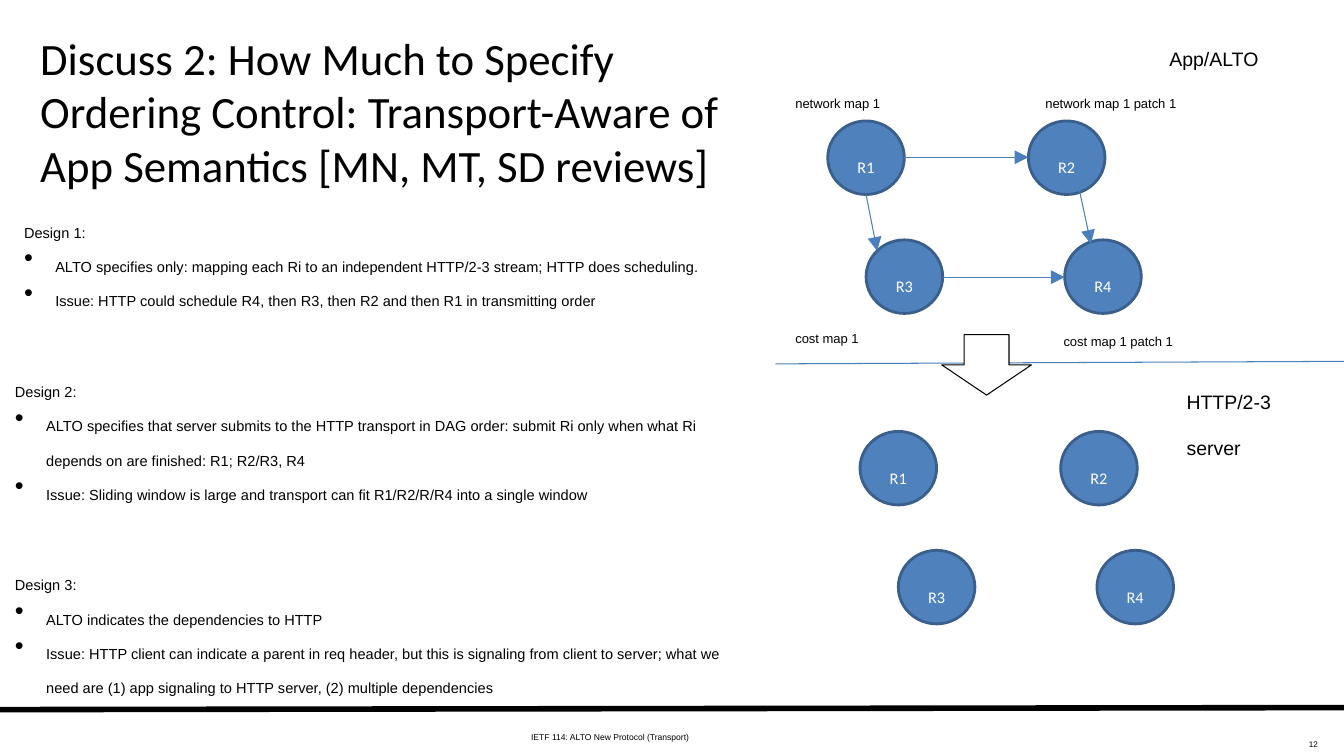
from lxml import etree
from pptx import Presentation
from pptx.dml.color import RGBColor
from pptx.enum.shapes import MSO_CONNECTOR, MSO_SHAPE
from pptx.enum.text import MSO_ANCHOR, MSO_AUTO_SIZE, PP_ALIGN
from pptx.oxml.ns import qn
from pptx.util import Inches, Pt

LEFT, CENTER, RIGHT = PP_ALIGN.LEFT, PP_ALIGN.CENTER, PP_ALIGN.RIGHT
TOP, MIDDLE = MSO_ANCHOR.TOP, MSO_ANCHOR.MIDDLE
GROW, FIXED = MSO_AUTO_SIZE.SHAPE_TO_FIT_TEXT, MSO_AUTO_SIZE.NONE
STRAIGHT = MSO_CONNECTOR.STRAIGHT
OVAL, DOWN_ARROW = MSO_SHAPE.OVAL, MSO_SHAPE.DOWN_ARROW

BLACK, WHITE = "000000", "FFFFFF"
NODE_FILL, NODE_LINE, EDGE = "4F81BD", "3A5F8C", "4B7EBC"
NODE_WIDTH, NODE_HEIGHT = 0.76, 0.73
HANGING = 0.31

NODES = {"R1": (0, 0), "R2": (1.99, 0), "R3": (0.38, 1.18), "R4": (2.35, 1.18)}
DEPENDENCIES = [
    ((0.76, 0.36), (1.99, 0.36)),
    ((0.38, 0.73), (0.49, 1.29)),
    ((1.14, 1.55), (2.35, 1.55)),
    ((2.49, 0.66), (2.61, 1.22)),
]
MAP_LABELS = [
    ("network map 1", -0.42, -0.45, 1.67),
    ("network map 1 patch 1", 2.06, -0.45, 2.47),
    ("cost map 1", -0.42, 1.88, 1.3),
    ("cost map 1 patch 1", 2.24, 1.91, 2.1),
]
DESIGNS = [
    ((0.14, 2, 7.26, 1.62), "Design 1:", [
        "ALTO specifies only: mapping each Ri to an independent HTTP/2-3 stream; "
        "HTTP does scheduling.",
        "Issue: HTTP could schedule R4, then R3, then R2 and then R1 in transmitting order",
    ]),
    ((0.05, 3.58, 7.44, 1.92), "Design 2:", [
        "ALTO specifies that server submits to the HTTP transport in DAG order: "
        "submit Ri only when what Ri depends on are finished: R1; R2/R3, R4",
        "Issue: Sliding window is large and transport can fit R1/R2/R/R4 into a single window",
    ]),
    ((0.05, 5.5, 7.44, 1.62), "Design 3:", [
        "ALTO indicates the dependencies to HTTP",
        "Issue: HTTP client can indicate a parent in req header, but this is signaling "
        "from client to server; what we need are (1) app signaling to HTTP server, "
        "(2) multiple dependencies",
    ]),
]


def color(value):
    """Turn a hex string into a colour."""
    return RGBColor.from_string(value)


def write(para, text, size, font="Arial", fill=BLACK, align=LEFT, lowered=True):
    """Write text into a paragraph and return its run."""
    para.alignment = align
    para.text = text
    for span in para.runs:
        span.font.size = Pt(size)
        span.font.name = font
        span.font.color.rgb = color(fill)
        if lowered:
            span.font._element.set("baseline", "-25000")
    return para.runs[0]


def add_text(page, box, text, size, wrap=False, grow=True, anchor=TOP, **style):
    """Add a text box and return its frame and first run."""
    frame = page.shapes.add_textbox(*map(Inches, box)).text_frame
    frame.word_wrap = wrap
    frame.auto_size = GROW if grow else FIXED
    frame.vertical_anchor = anchor
    return frame, write(frame.paragraphs[0], text, size, **style)


def add_line(page, start, end, fill=EDGE, width=0.75, arrow=False):
    """Add a straight line, with an arrowhead at its end if asked."""
    line = page.shapes.add_connector(STRAIGHT, *map(Inches, (*start, *end)))
    line.line.color.rgb = color(fill)
    line.line.width = Pt(width)
    properties = line._element.spPr
    etree.SubElement(properties, qn("a:effectLst"))
    if arrow:
        etree.SubElement(properties.find(qn("a:ln")), qn("a:tailEnd"),
                         type="triangle", w="lg", len="lg")


def add_shape(page, kind, box, fill, outline, width):
    """Add a flat preset shape."""
    shape = page.shapes.add_shape(kind, *map(Inches, box))
    shape.shadow.inherit = False
    shape.fill.solid()
    shape.fill.fore_color.rgb = color(fill)
    shape.line.color.rgb = color(outline)
    shape.line.width = Pt(width)
    return shape


def add_title(page, box):
    """Add the title with its soft text shadow."""
    text = ("Discuss 2: How Much to Specify Ordering Control: "
            "Transport-Aware of App Semantics [MN, MT, SD reviews]")
    _, span = add_text(page, box, text, 32, wrap=True, grow=False, anchor=MIDDLE,
                       font="Calibri", lowered=False)
    effects = etree.Element(qn("a:effectLst"))
    shadow = etree.SubElement(effects, qn("a:outerShdw"), blurRad="38100",
                              dist="38100", dir="2700000", algn="tl")
    tint = etree.SubElement(shadow, qn("a:srgbClr"), val=BLACK)
    etree.SubElement(tint, qn("a:alpha"), val="43000")
    span.font._element.find(qn("a:solidFill")).addnext(effects)


def add_design(page, box, heading, points):
    """Add a design heading with its bulleted points."""
    frame, _ = add_text(page, box, heading, 18, wrap=True)
    for point in points:
        para = frame.add_paragraph()
        write(para, point, 18)
        properties = para._p.get_or_add_pPr()
        properties.set("marL", str(Inches(HANGING)))
        properties.set("indent", str(-Inches(HANGING)))
        etree.SubElement(properties, qn("a:buFont"), typeface="Arial")
        etree.SubElement(properties, qn("a:buChar"), char="•")


def add_requests(page, left, top):
    """Add the four request circles from the given corner."""
    for name, (across, down) in NODES.items():
        box = (left + across, top + down, NODE_WIDTH, NODE_HEIGHT)
        frame = add_shape(page, OVAL, box, NODE_FILL, NODE_LINE, 2).text_frame
        frame.vertical_anchor = MIDDLE
        write(frame.paragraphs[0], name, 20, font="Calibri", fill=WHITE, align=CENTER)


def add_dependency_graph(page, left, top):
    """Add the requests with their dependency arrows and map labels."""
    add_requests(page, left, top)
    for start, end in DEPENDENCIES:
        add_line(page, (left + start[0], top + start[1]),
                 (left + end[0], top + end[1]), arrow=True)
    for text, across, down, width in MAP_LABELS:
        add_text(page, (left + across, top + down, width, 0.37), text, 16)


def add_layers(page, left, top):
    """Add the divider between the application and transport layers."""
    add_line(page, (left, top), (left + 6.7, top - 0.03))
    add_text(page, (left + 3.81, top - 3.42, 1.74, 0.5), "App/ALTO", 24)
    add_text(page, (left + 3.98, top - 0.01, 1.66, 0.91), "HTTP/2-3\vserver", 24)


def add_footer(page, top):
    """Add the footer rule, meeting name and page number."""
    add_line(page, (0, top), (13.33, top - 0.02), fill=BLACK, width=4)
    add_text(page, (5.17, top + 0.07, 2.96, 0.28),
             "IETF 114: ALTO New Protocol (Transport)", 10.5)
    add_text(page, (10.39, top + 0.15, 2.78, 0.33), "12", 10,
             wrap=True, grow=False, align=RIGHT)


def main():
    """Build the slide and save it."""
    deck = Presentation()
    deck.slide_width, deck.slide_height = Inches(13.33), Inches(7.5)
    page = deck.slides.add_slide(deck.slide_layouts[6])
    add_footer(page, 7.04)
    add_layers(page, 7.69, 3.61)
    add_dependency_graph(page, 8.21, 1.2)
    add_requests(page, 8.53, 4.28)
    add_title(page, (0.3, 0.19, 7.15, 1.82))
    for box, heading, points in DESIGNS:
        add_design(page, box, heading, points)
    add_shape(page, DOWN_ARROW, (9.34, 3.32, 0.89, 0.6), WHITE, BLACK, 0.75)
    deck.save("out.pptx")


if __name__ == "__main__":
    main()
